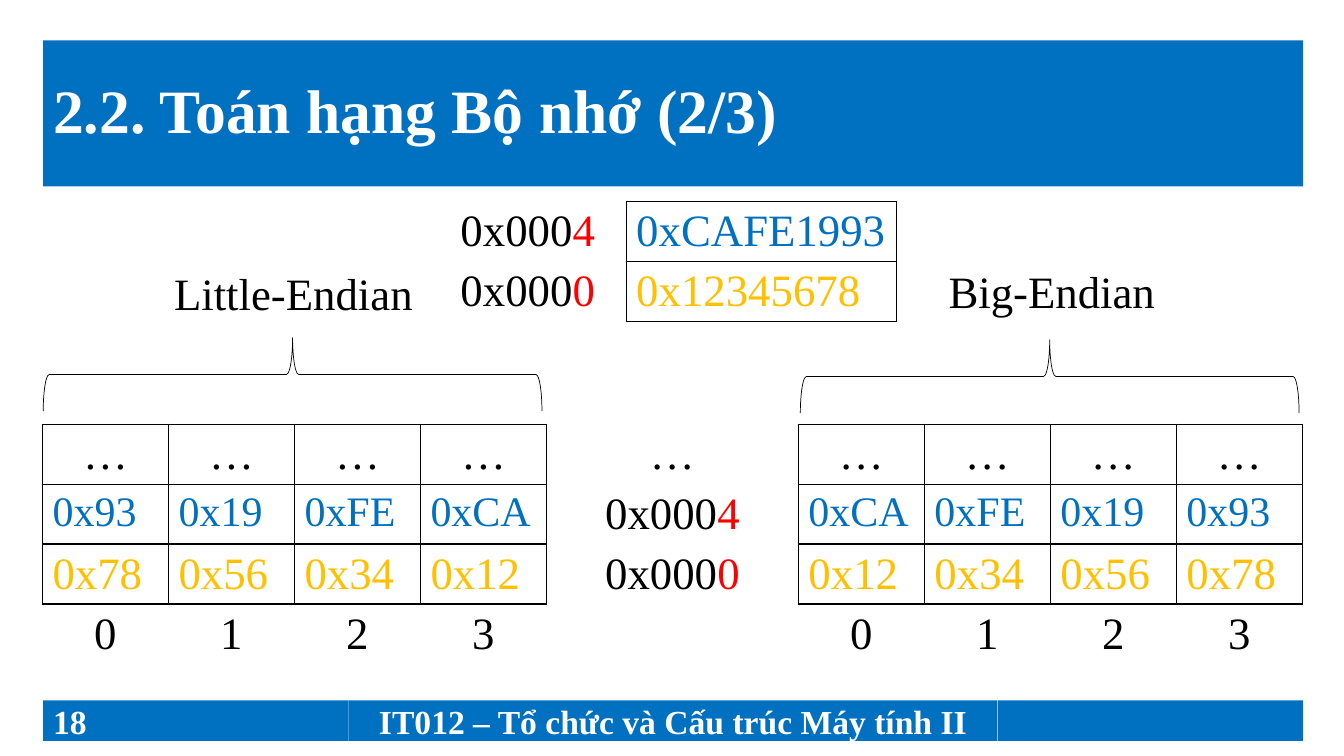
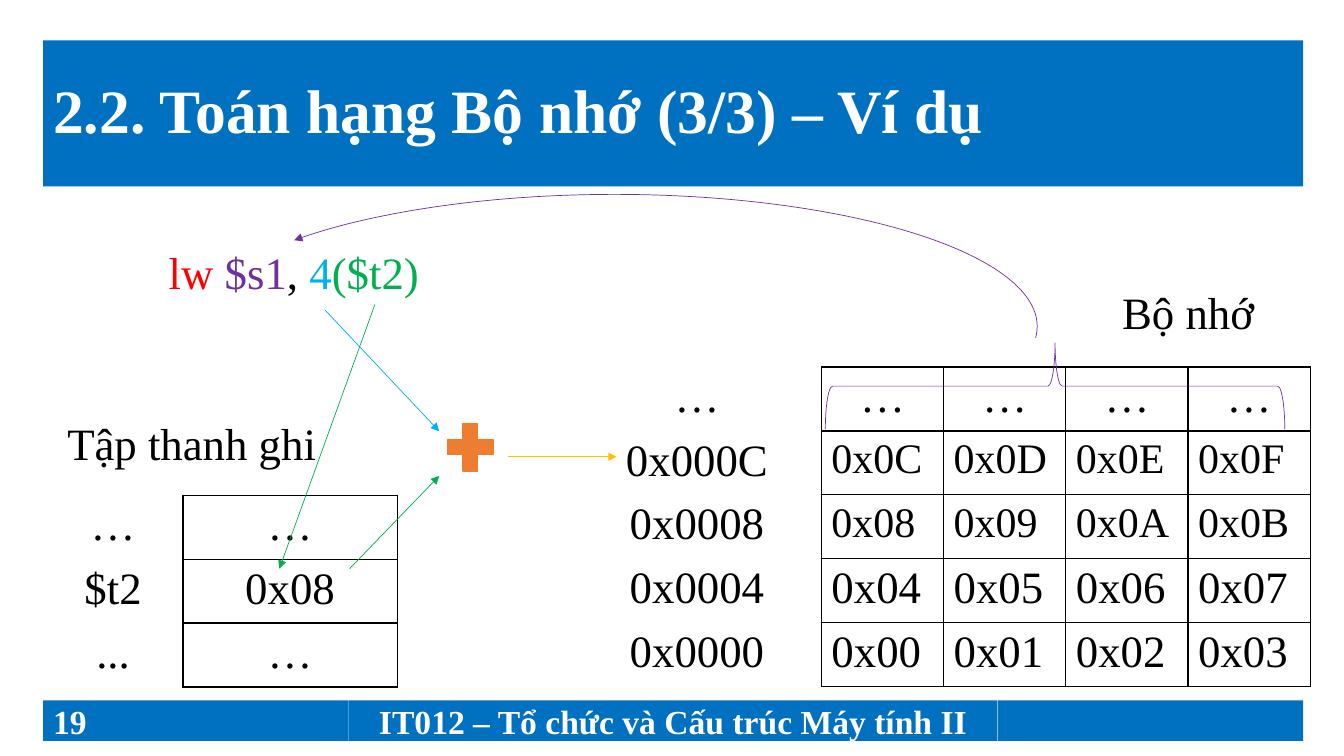
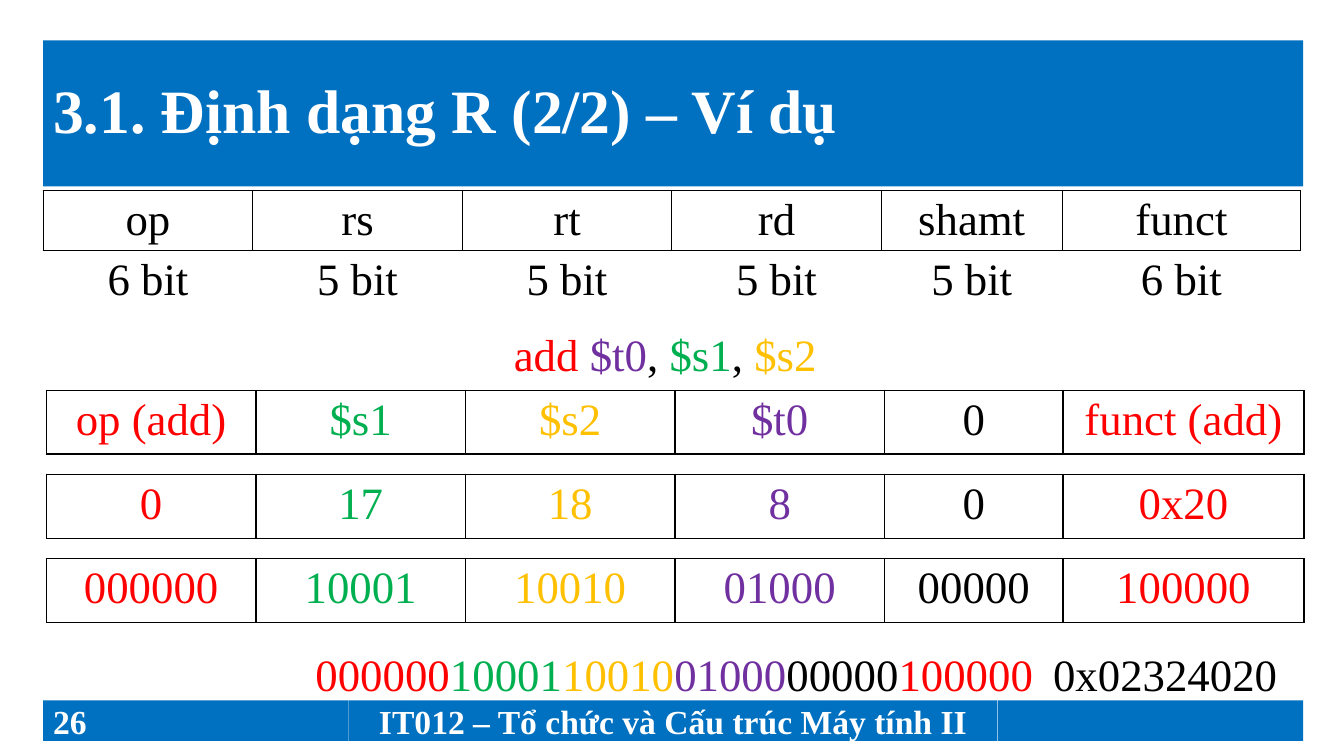
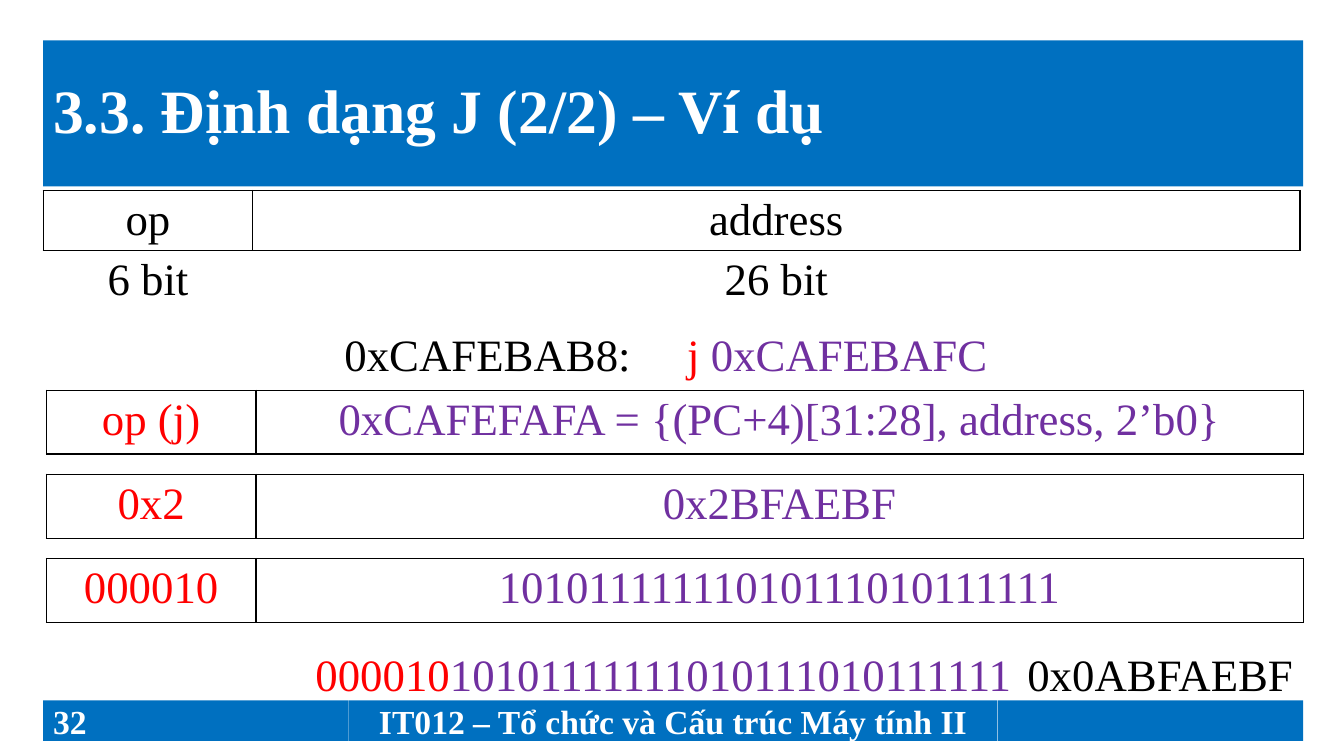
from itertools import product

from pptx import Presentation
from pptx.dml.color import RGBColor
from pptx.enum.shapes import MSO_CONNECTOR as Connector, MSO_SHAPE as Shape
from pptx.enum.text import MSO_ANCHOR as Anchor, PP_ALIGN as Align
from pptx.oxml.ns import qn
from pptx.util import Cm, Pt
from lxml.etree import SubElement

FONT = "Times New Roman"
BLACK, WHITE, RED, BLUE = "000000", "FFFFFF", "FF0000", "0070C0"
GOLD, PURPLE, GREEN, SKY, ORANGE = "FFC000", "7030A0", "00B050", "00B0F0", "ED7D31"
COURSE = "IT012 – Tổ chức và Cấu trúc Máy tính II"
NO_GRID_STYLE = "{2D5ABB26-0587-4C30-8999-92F81FD0307C}"

MARGIN = 1.09
CONTENT_WIDTH = 31.75
SIDE_FOOTER_WIDTH = 7.7
BODY_SIZE = 32
COMPACT_SIZE = 30
TIGHT_ROW, TALL_ROW = 1.51, 1.61
TEXT_HEIGHT = 1.63

# A cell is (runs, size, alignment); a run is (text, colour).


def cell(*runs, size=BODY_SIZE, align=Align.CENTER):
    return runs, size, align


def cells(words, colour=BLACK, size=BODY_SIZE, align=Align.CENTER):
    return [cell((word, colour), size=size, align=align) for word in words.split()]


def address(last_digit, align=Align.CENTER):
    return cell(("0x000", BLACK), (last_digit, RED), align=align)


def byte_row(middle, left_bytes, colour, size):
    """Bytes in little-endian order, the address, then the same bytes reversed."""
    little = cells(left_bytes, colour, size, Align.LEFT)
    return little + [middle] + little[::-1]


WORD_ROWS = [
    [address("4", Align.LEFT), *cells("0xCAFE1993", BLUE, align=Align.LEFT)],
    [address("0", Align.LEFT), *cells("0x12345678", GOLD, align=Align.LEFT)],
]
ENDIAN_ROWS = [
    cells("… … … … … … … … …"),
    byte_row(address("4"), "0x93 0x19 0xFE 0xCA", BLUE, COMPACT_SIZE),
    byte_row(address("0"), "0x78 0x56 0x34 0x12", GOLD, BODY_SIZE),
    cells("0 1 2 3") + [cell()] + cells("0 1 2 3"),
]
MEMORY_ROWS = [
    cells("… … … … …"),
    *(cells(label) + cells(data, size=size, align=Align.LEFT)
      for label, data, size in [
          ("0x000C", "0x0C 0x0D 0x0E 0x0F", COMPACT_SIZE),
          ("0x0008", "0x08 0x09 0x0A 0x0B", COMPACT_SIZE),
          ("0x0004", "0x04 0x05 0x06 0x07", BODY_SIZE),
          ("0x0000", "0x00 0x01 0x02 0x03", BODY_SIZE),
      ]),
]
REGISTER_ROWS = [cells("… …"), cells("$t2 0x08"), cells("... …")]
LOAD_INSTRUCTION = [("lw ", RED), ("$s1", PURPLE), (", ", BLACK), ("4", SKY), ("($t2)", GREEN)]
DATA_ARROWS = [
    ((8.2, 7.82), (11.07, 10.87), SKY),
    ((9.45, 7.67), (7.04, 14.33), GREEN),
    ((8.81, 14.33), (11.07, 11.99), GREEN),
    ((12.8, 11.51), (15.54, 11.51), GOLD),
]
FORMATS = [
    {
        "title": "3.1. Định dạng R (2/2) – Ví dụ",
        "number": "26",
        "fields": ["op", "rs", "rt", "rd", "shamt", "funct"],
        "bits": [6, 5, 5, 5, 5, 6],
        "field_widths": [5.28] * 4 + [4.56, 6.01],
        "value_widths": [5.28] * 4 + [4.5, 6.07],
        "colours": [RED, GREEN, GOLD, PURPLE, BLACK, RED],
        "example": [("add ", RED), ("$t0", PURPLE), (", ", BLACK),
                    ("$s1", GREEN), (", ", BLACK), ("$s2", GOLD)],
        "example_box": (12.7, 8.46),
        "values": [
            ["op (add)", "$s1", "$s2", "$t0", "0", "funct (add)"],
            ["0", "17", "18", "8", "0", "0x20"],
            ["000000", "10001", "10010", "01000", "00000", "100000"],
        ],
        "code": "0x02324020",
        "code_left": 26.29,
        "code_align": Align.LEFT,
    },
    {
        "title": "3.3. Định dạng J (2/2) – Ví dụ",
        "number": "32",
        "fields": ["op", "address"],
        "bits": [6, 26],
        "field_widths": [5.28, 26.39],
        "value_widths": [5.28, 26.39],
        "colours": [RED, PURPLE],
        "example": [("0xCAFEBAB8:\t", BLACK), ("j ", RED), ("0xCAFEBAFC", PURPLE)],
        "example_box": (8.43, 17),
        "example_tab": 8.64,
        "values": [
            ["op (j)", "0xCAFEFAFA = {(PC+4)[31:28], address, 2’b0}"],
            ["0x2", "0x2BFAEBF"],
            ["000010", "10101111111010111010111111"],
        ],
        "code": "0x0ABFAEBF",
        "code_left": 25.5,
        "code_align": Align.RIGHT,
    },
]


def rgb(colour):
    return RGBColor.from_string(colour)


def write(paragraph, runs, size=BODY_SIZE, align=Align.LEFT, bold=False):
    paragraph.alignment = align
    for text, colour in runs:
        run = paragraph.add_run()
        run.text = text
        run.font.name = FONT
        run.font.size = Pt(size)
        run.font.bold = bold
        run.font.color.rgb = rgb(colour)


def add_text(slide, left, top, width, runs, align=Align.CENTER):
    box = slide.shapes.add_textbox(Cm(left), Cm(top), Cm(width), Cm(TEXT_HEIGHT))
    box.text_frame.word_wrap = True
    paragraph = box.text_frame.paragraphs[0]
    write(paragraph, runs, align=align)
    return paragraph


def add_tab_stop(paragraph, position):
    tabs = SubElement(paragraph._p.get_or_add_pPr(), qn("a:tabLst"))
    SubElement(tabs, qn("a:tab"), pos=str(Cm(position)), algn="l")


def add_figure(slide, kind, left, top, width, height, fill=None, line=None, weight=0.5):
    shape = slide.shapes.add_shape(kind, Cm(left), Cm(top), Cm(width), Cm(height))
    shape.shadow.inherit = False
    if fill:
        shape.fill.solid()
        shape.fill.fore_color.rgb = rgb(fill)
    else:
        shape.fill.background()
    if line:
        shape.line.color.rgb = rgb(line)
        shape.line.width = Pt(weight)
    else:
        shape.line.fill.background()
    return shape


def add_band(slide, left, top, width, height, text="", size=24, align=Align.LEFT):
    band = add_figure(slide, Shape.RECTANGLE, left, top, width, height, fill=BLUE)
    frame = band.text_frame
    frame.word_wrap = True
    frame.vertical_anchor = Anchor.MIDDLE
    if text:
        write(frame.paragraphs[0], [(text, WHITE)], size, align, bold=True)
    return band


def add_brace(slide, left, top, width, height, colour=BLACK):
    """Upward brace that covers the given box once it is turned."""
    middle_x, middle_y = left + width / 2, top + height / 2
    brace = add_figure(slide, Shape.RIGHT_BRACE, middle_x - height / 2,
                       middle_y - width / 2, height, width, line=colour)
    brace.rotation = 270


def add_arrowhead(line, end):
    SubElement(line._get_or_add_ln(), qn(f"a:{end}"), type="triangle")


def add_arrow(slide, start, end, colour):
    points = [Cm(value) for value in (*start, *end)]
    arrow = slide.shapes.add_connector(Connector.STRAIGHT, *points)
    arrow.line.color.rgb = rgb(colour)
    arrow.line.width = Pt(0.5)
    add_arrowhead(arrow.line, "tailEnd")
    SubElement(arrow._element.spPr, qn("a:effectLst"))


def add_border(table_cell, side):
    line = SubElement(table_cell._tc.get_or_add_tcPr(), qn(f"a:ln{side}"), w=str(Pt(1)))
    fill = SubElement(line, qn("a:solidFill"))
    SubElement(fill, qn("a:srgbClr"), val=BLACK)


def add_grid(slide, left, top, widths, row_height, rows, boxed_rows, boxed_columns):
    """Table whose cells in the boxed rows and columns have a full border."""
    frame = slide.shapes.add_table(len(rows), len(widths), Cm(left), Cm(top),
                                   Cm(sum(widths)), Cm(row_height * len(rows)))
    table = frame.table
    table.first_row = table.horz_banding = False
    table._tbl.tblPr.find(qn("a:tableStyleId")).text = NO_GRID_STYLE
    for column, width in zip(table.columns, widths):
        column.width = Cm(width)
    for row in table.rows:
        row.height = Cm(row_height)

    boxed = set(product(boxed_rows, boxed_columns))
    sides = {"L": (0, -1), "R": (0, 1), "T": (-1, 0), "B": (1, 0)}
    for r, row in enumerate(rows):
        for c, (runs, size, align) in enumerate(row):
            table_cell = table.cell(r, c)
            write(table_cell.text_frame.paragraphs[0], runs, size, align)
            for side, (down, right) in sides.items():
                if boxed & {(r, c), (r + down, c + right)}:
                    add_border(table_cell, side)
            table_cell.fill.background()


def start_slide(presentation, title, number):
    slide = presentation.slides.add_slide(presentation.slide_layouts[6])
    footer_top, footer_height = 17.65, 1.02
    middle_left = MARGIN + SIDE_FOOTER_WIDTH
    right_left = MARGIN + CONTENT_WIDTH - SIDE_FOOTER_WIDTH
    add_band(slide, middle_left, footer_top, right_left - middle_left - 0.01,
             footer_height, COURSE, align=Align.CENTER)
    add_band(slide, right_left, footer_top, SIDE_FOOTER_WIDTH, footer_height)
    add_band(slide, MARGIN, footer_top, SIDE_FOOTER_WIDTH, footer_height, number)
    title_band = add_band(slide, MARGIN, 1.02, CONTENT_WIDTH, 3.68, title, size=44)
    title_band.text_frame.paragraphs[0].line_spacing = 0.9
    return slide


def build_endian_slide(presentation):
    slide = start_slide(presentation, "2.2. Toán hạng Bộ nhớ (2/3)", "18")
    byte_widths = [3.175] * 4
    add_grid(slide, 1.07, 10.69, byte_widths + [6.35] + byte_widths, TIGHT_ROW,
             ENDIAN_ROWS, range(3), [0, 1, 2, 3, 5, 6, 7, 8])
    add_grid(slide, 11.35, 5.08, [4.43, 6.82], TIGHT_ROW, WORD_ROWS, range(2), [1])
    add_brace(slide, MARGIN, 8.51, 12.57, 1.85)
    add_brace(slide, 20.17, 8.56, 12.57, 1.85)
    add_text(slide, 22.56, 6.53, 7.9, [("Big-Endian", BLACK)])
    add_text(slide, 3.45, 6.58, 7.9, [("Little-Endian", BLACK)])


def build_load_slide(presentation):
    slide = start_slide(presentation, "2.2. Toán hạng Bộ nhớ (3/3) – Ví dụ", "19")
    add_text(slide, 3.61, 6.05, 7.59, LOAD_INSTRUCTION)
    add_grid(slide, 14.43, 9.25, [6.27] + [3.08] * 4, TALL_ROW, MEMORY_ROWS,
             range(5), range(1, 5))
    add_grid(slide, MARGIN, 12.48, [3.52, 5.4], TALL_ROW, REGISTER_ROWS, range(3), [1])
    add_figure(slide, Shape.MATH_PLUS, 11.07, 10.46, 1.57, 1.63, ORANGE, ORANGE, 1)
    for start, end, colour in DATA_ARROWS:
        add_arrow(slide, start, end, colour)
    add_text(slide, MARGIN, 10.36, 7.49, [("Tập thanh ghi", BLACK)])
    add_text(slide, 27.05, 7.06, 5.79, [("Bộ nhớ", BLACK)])
    add_brace(slide, 20.8, 8.64, 11.58, 2.18, PURPLE)
    return_arc = add_figure(slide, Shape.ARC, 4.83, 4.9, 21.31, 6.65, line=PURPLE)
    return_arc.adjustments[0] = 117.03
    return_arc.adjustments[1] = 0.94
    add_arrowhead(return_arc.line, "headEnd")


def build_format_slide(presentation, layout):
    slide = start_slide(presentation, layout["title"], layout["number"])
    columns = range(len(layout["fields"]))
    header = [[cell((name, BLACK)) for name in layout["fields"]],
              [cell((f"{bits} bit", BLACK)) for bits in layout["bits"]]]
    add_grid(slide, MARGIN, 4.8, layout["field_widths"], TIGHT_ROW, header, [0], columns)

    left, width = layout["example_box"]
    example = add_text(slide, left, 8.1, width, layout["example"], Align.LEFT)
    if "example_tab" in layout:
        add_tab_stop(example, layout["example_tab"])

    for index, values in enumerate(layout["values"]):
        row = [cell(run) for run in zip(values, layout["colours"])]
        add_grid(slide, 1.17, 9.83 + 2.12 * index, layout["value_widths"], TALL_ROW,
                 [row], [0], columns)

    binary = list(zip(layout["values"][-1], layout["colours"]))
    add_text(slide, 7.7, 16.18, 18.7, binary, Align.LEFT)
    code_left = layout["code_left"]
    add_text(slide, code_left, 16.18, MARGIN + CONTENT_WIDTH - code_left,
             [(layout["code"], BLACK)], layout["code_align"])


def main():
    presentation = Presentation()
    presentation.slide_width, presentation.slide_height = Cm(33.87), Cm(19.05)
    build_endian_slide(presentation)
    build_load_slide(presentation)
    for layout in FORMATS:
        build_format_slide(presentation, layout)
    presentation.save("out.pptx")


if __name__ == "__main__":
    main()
